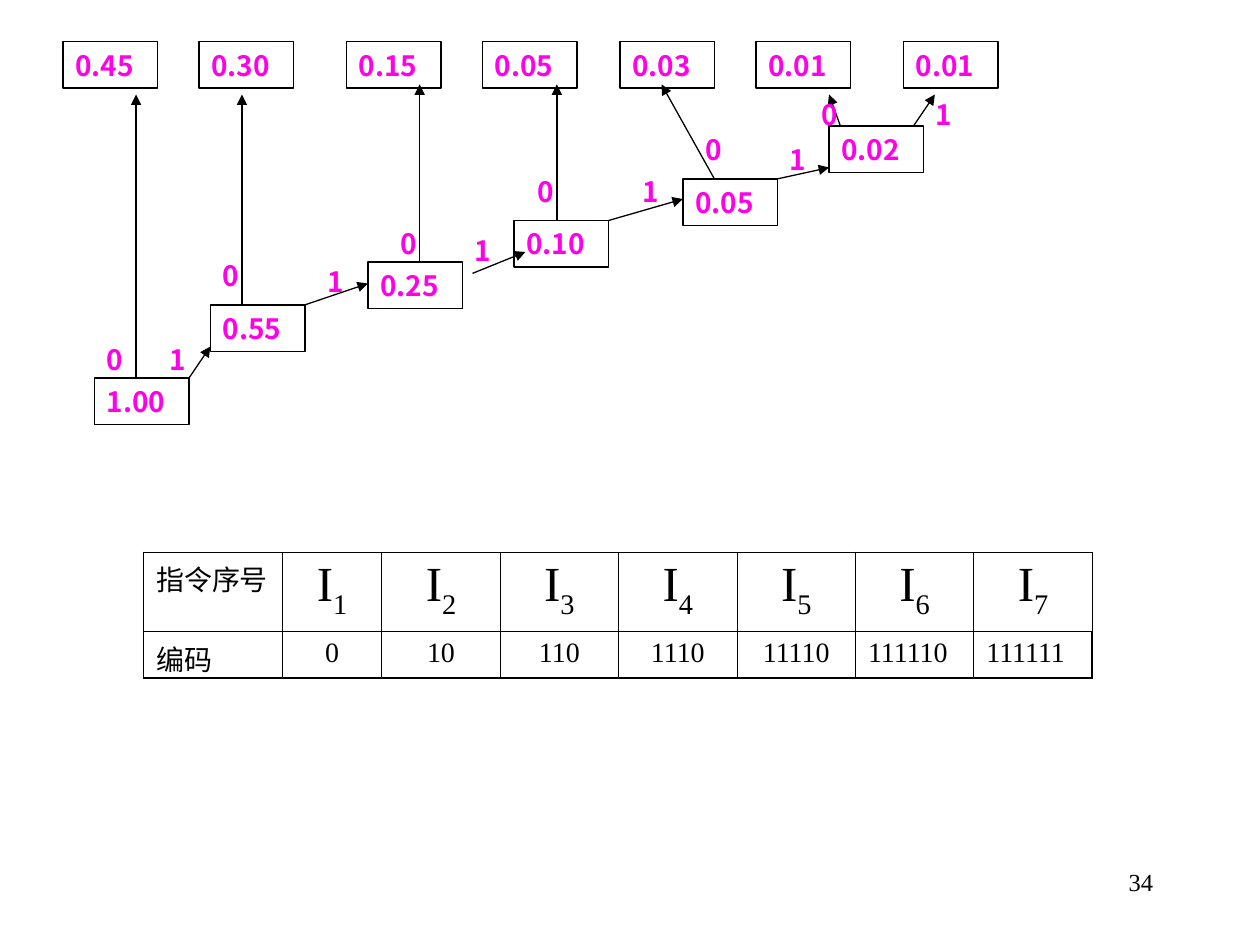
from dataclasses import dataclass

from lxml.etree import SubElement
from pptx import Presentation
from pptx.dml.color import RGBColor
from pptx.enum.shapes import MSO_CONNECTOR, MSO_SHAPE
from pptx.enum.text import MSO_ANCHOR, PP_ALIGN
from pptx.oxml import parse_xml
from pptx.oxml.ns import nsdecls, qn
from pptx.util import Inches, Pt


@dataclass(frozen=True)
class Theme:
    """Colours, fonts and sizes used on the slide."""
    ink: str = "000000"
    accent: str = "FF01E7"
    serif: str = "Times New Roman"
    sans: str = "Noto Sans CJK SC"
    body: int = 16
    symbol: int = 28
    page: int = 14
    line: float = 0.75
    thin: float = 0.45
    thick: float = 1.08


THEME = Theme()
NODE_SIZE = (0.75, 0.37)
LABEL_SIZE = (0.25, 0.37)
LEAVES = [(0.5, "0.45"), (1.58, "0.30"), (2.75, "0.15"), (3.83, "0.05"),
          (4.92, "0.03"), (6, "0.01"), (7.17, "0.01")]
SUMS = [(6.58, 1, "0.02"), (5.42, 1.42, "0.05"), (4.08, 1.75, "0.10"),
        (2.92, 2.08, "0.25"), (1.67, 2.42, "0.55"), (0.75, 3, "1.00")]
BRANCHES = [((7.25, 1), (7.42, 0.75)), ((6.67, 1), (6.58, 0.75)),
            ((6.17, 1.42), (6.58, 1.33)), ((5.67, 1.42), (5.25, 0.67)),
            ((4.83, 1.75), (5.42, 1.58)), ((4.42, 1.75), (4.42, 0.67)),
            ((3.75, 2.17), (4.17, 2)), ((3.33, 2.08), (3.33, 0.67)),
            ((2.42, 2.42), (2.92, 2.25)), ((1.92, 2.42), (1.92, 0.75)),
            ((1.5, 3), (1.67, 2.75)), ((1.08, 3), (1.08, 0.75))]
BIT_LABELS = {
    "0": [(0.75, 2.67), (1.67, 2), (3.08, 1.75), (4.17, 1.33), (5.5, 1), (6.42, 0.72)],
    "1": [(1.25, 2.67), (2.5, 2.05), (3.67, 1.8), (5, 1.33), (6.17, 1.08), (7.33, 0.72)],
}
CODES = ["0", "10", "110", "1110", "11110", "111110", "111111"]
COLUMN_WIDTHS = [1.1, 0.79] + [0.94] * 6
ROW_HEIGHTS = [0.63, 0.37]


def write(frame, text, *, size=THEME.body, font=THEME.serif, color=THEME.ink,
          bold=False, align=PP_ALIGN.LEFT, subscript=""):
    """Write one formatted paragraph with an optional subscript."""
    paragraph = frame.paragraphs[0]
    paragraph.alignment = align
    for content, offset in ((text, 0), (subscript, -25000)):
        if not content:
            continue
        run = paragraph.add_run()
        run.text = content
        run.font.size = Pt(size)
        run.font.bold = bold
        run.font.name = font
        run.font.color.rgb = RGBColor.from_string(color)
        properties = run._r.get_or_add_rPr()
        SubElement(properties, qn("a:ea"), typeface=THEME.sans)
        if offset:
            properties.set("baseline", str(offset))


def write_accent(shape, text):
    """Write a bold accent value centred vertically in a shape."""
    frame = shape.text_frame
    frame.word_wrap = True
    frame.vertical_anchor = MSO_ANCHOR.MIDDLE
    write(frame, text, font=THEME.sans, color=THEME.accent, bold=True)


def add_node(slide, left, top, text):
    """Add an outlined probability node."""
    shape = slide.shapes.add_shape(
        MSO_SHAPE.RECTANGLE, *map(Inches, (left, top, *NODE_SIZE)))
    shape.shadow.inherit = False
    shape.fill.background()
    shape.line.color.rgb = RGBColor.from_string(THEME.ink)
    shape.line.width = Pt(THEME.line)
    write_accent(shape, text)


def add_arrow(slide, start, end):
    """Add a branch with an arrowhead at its end."""
    connector = slide.shapes.add_connector(
        MSO_CONNECTOR.STRAIGHT, *map(Inches, (*start, *end)))
    connector.line.color.rgb = RGBColor.from_string(THEME.ink)
    connector.line.width = Pt(THEME.line)
    SubElement(connector.line._get_or_add_ln(), qn("a:tailEnd"), type="triangle")
    SubElement(connector._element.spPr, qn("a:effectLst"))


def add_bit_label(slide, left, top, bit):
    """Add the bit that marks a branch."""
    write_accent(slide.shapes.add_textbox(
        *map(Inches, (left, top, *LABEL_SIZE))), bit)


def set_borders(cell, **widths):
    """Draw the cell borders with the given widths in points."""
    properties = cell._tc.get_or_add_tcPr()
    for position, side in enumerate("LRTB"):
        width = Pt(widths.get(side, THEME.thin))
        properties.insert(position, parse_xml(
            f'<a:ln{side} {nsdecls("a")} w="{width}"><a:solidFill>'
            f'<a:srgbClr val="{THEME.ink}"/></a:solidFill></a:ln{side}>'))


def add_code_table(slide):
    """Add the table of instructions and their codes."""
    last = len(CODES)
    table = slide.shapes.add_table(
        2, last + 1, Inches(1.14), Inches(4.38),
        Inches(sum(COLUMN_WIDTHS)), Inches(sum(ROW_HEIGHTS))).table
    table.first_row = table.horz_banding = False
    for column, width in zip(table.columns, COLUMN_WIDTHS):
        column.width = Inches(width)
    for row, height in zip(table.rows, ROW_HEIGHTS):
        row.height = Inches(height)
    for cell in table.iter_cells():
        cell.fill.background()
    write(table.cell(0, 0).text_frame, "指令序号")
    write(table.cell(1, 0).text_frame, "编码")
    for number, code in enumerate(CODES, 1):
        write(table.cell(0, number).text_frame, "I", size=THEME.symbol,
              align=PP_ALIGN.CENTER, subscript=str(number))
        write(table.cell(1, number).text_frame, code,
              align=PP_ALIGN.CENTER if len(code) < 6 else PP_ALIGN.LEFT)
    for index in range(last + 1):
        set_borders(table.cell(0, index))
        code_cell = table.cell(1, index)
        code_cell.margin_bottom = 0
        set_borders(code_cell, B=THEME.thick,
                    L=THEME.thick if index == 0 else THEME.thin,
                    R=THEME.thick if index == last else THEME.thin)


def add_page_number(slide, text):
    """Add the page number at the lower right."""
    box = slide.shapes.add_textbox(Inches(7.17), Inches(6.83), Inches(2.08), Inches(0.5))
    box.text_frame.word_wrap = True
    write(box.text_frame, text, size=THEME.page, align=PP_ALIGN.RIGHT)


def main():
    """Build the Huffman tree slide."""
    presentation = Presentation()
    presentation.slide_width, presentation.slide_height = Inches(10), Inches(7.5)
    slide = presentation.slides.add_slide(presentation.slide_layouts[6])
    add_page_number(slide, "34")
    for left, text in LEAVES:
        add_node(slide, left, 0.33, text)
    for left, top, text in SUMS:
        add_node(slide, left, top, text)
    for start, end in BRANCHES:
        add_arrow(slide, start, end)
    for bit, places in BIT_LABELS.items():
        for left, top in places:
            add_bit_label(slide, left, top, bit)
    add_code_table(slide)
    presentation.save("out.pptx")


if __name__ == "__main__":
    main()
